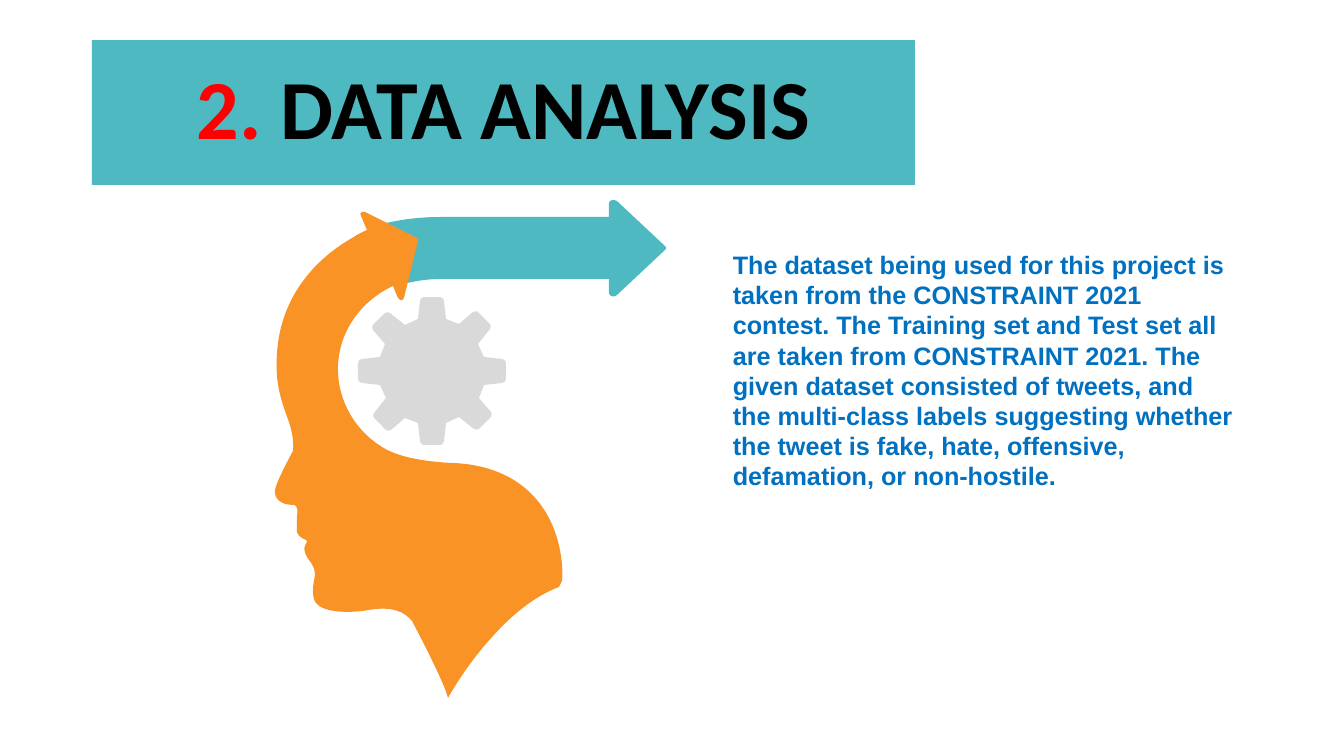
from lxml import etree
from pptx import Presentation
from pptx.dml.color import RGBColor
from pptx.enum.text import MSO_ANCHOR, MSO_AUTO_SIZE, PP_ALIGN
from pptx.oxml.ns import qn
from pptx.util import Pt

MIDDLE, BOTTOM = MSO_ANCHOR.MIDDLE, MSO_ANCHOR.BOTTOM
CENTER, LEFT = PP_ALIGN.CENTER, PP_ALIGN.LEFT
FIXED, GROW = MSO_AUTO_SIZE.NONE, MSO_AUTO_SIZE.SHAPE_TO_FIT_TEXT
PX = 914400 / 100.8
TEAL, ORANGE, GRAY = "4EB9C1", "F99325", "D9D9D9"


def paint(item, color):
    item.fill.solid()
    item.fill.fore_color.rgb = RGBColor.from_string(color)


def outline(start, parts, color):
    ends = [(round(p[-2] * PX), round(p[-1] * PX)) for p in [start] + parts]
    pen = slide.shapes.build_freeform(*ends[0], scale=1.0)
    pen.add_line_segments(ends[1:], close=True)
    shape = pen.convert_to_shape()
    lines = list(shape.element.iter(qn("a:lnTo")))
    for line, part in zip(lines, parts):
        if len(part) == 6:
            line.tag = qn("a:cubicBezTo")
            for spot in (0, 1):
                x, y = part[2 * spot:2 * spot + 2]
                knob = etree.Element(qn("a:pt"))
                knob.set("x", str(round(x * PX) - shape.left))
                knob.set("y", str(round(y * PX) - shape.top))
                line.insert(spot, knob)
    paint(shape, color)
    shape.line.fill.background()
    shape.shadow.inherit = False


deck = Presentation()
deck.slide_width, deck.slide_height = round(1344 * PX), round(756 * PX)
slide = deck.slides.add_slide(deck.slide_layouts[5])

arrow = [
    (617, 201), (614, 199, 609, 200, 609, 203), (609, 217), (440, 217),
    (414, 217, 390, 221, 368, 228), (403, 284),
    (415, 281, 428, 279, 440, 279), (609, 279), (609, 293),
    (609, 296, 614, 298, 617, 295), (665, 250),
    (667, 249, 667, 247, 665, 246),
]
outline((665, 246), arrow, TEAL)

title = slide.shapes.title
title.left, title.top, title.width, title.height = (
    round(n * PX) for n in (92, 40, 823, 145))
paint(title, TEAL)
frame = title.text_frame
frame.auto_size = FIXED
frame.vertical_anchor = MIDDLE
para = frame.paragraphs[0]
para.alignment = CENTER
para.line_spacing = 0.9
para.font.size, para.font.bold, para.font.name = Pt(60), True, "Calibri"
for text, color in (("2. ", "FF0000"), ("DATA ANALYSIS", "000000")):
    run = para.add_run()
    run.text = text
    paint(run.font, color)

box = slide.shapes.add_textbox(*(round(n * PX) for n in (723, 241, 524, 255)))
frame = box.text_frame
frame.word_wrap = True
frame.auto_size = GROW
frame.vertical_anchor = BOTTOM
para = frame.paragraphs[0]
para.text = (
    "The dataset being used for this project is taken from the CONSTRAINT 2021 "
    "contest. The Training set and Test set all are taken from CONSTRAINT 2021. "
    "The given dataset consisted of tweets, and the multi-class labels suggesting "
    "whether the tweet is fake, hate, offensive, defamation, or non-hostile.")
para.alignment = LEFT
para.font.size, para.font.bold, para.font.name = Pt(18), True, "Arial"
paint(para.font, "0070C0")

quarter = [
    (14, -52), (27, -47), (41, -59), (43, -60, 45, -60, 46, -59), (58, -47),
    (59, -46, 59, -44, 58, -42), (46, -27), (52, -14), (70, -12),
    (72, -12, 74, -10, 74, -8), (74, 8), (74, 10, 72, 12, 70, 12),
]
gear = []
for turn in range(4):
    for part in quarter:
        spot = []
        for x, y in zip(part[::2], part[1::2]):
            for _ in range(turn):
                x, y = -y, x
            spot += [432 + x, 371 + y]
        gear.append(tuple(spot))
outline(gear[0], gear[1:], GRAY)

head = [
    (413, 461, 393, 454, 382, 447), (356, 431, 338, 402, 338, 369),
    (338, 332, 361, 301, 393, 286), (398, 298),
    (400, 301, 403, 301, 404, 298), (418, 241),
    (419, 240, 418, 238, 417, 238), (365, 212),
    (362, 211, 359, 213, 361, 216), (367, 230),
    (363, 232, 358, 234, 354, 237), (311, 261, 280, 301, 277, 354),
    (275, 384, 281, 400, 289, 422), (295, 440, 293, 451, 293, 451),
    (286, 464, 274, 487, 275, 492), (275, 492, 274, 505, 294, 505),
    (294, 505, 299, 505, 297, 516), (297, 532),
    (297, 532, 298, 537, 306, 540), (306, 540, 308, 541, 306, 544),
    (306, 544, 301, 549, 309, 560), (312, 564, 317, 570, 314, 581),
    (314, 581, 310, 600, 318, 605), (318, 605, 327, 615, 363, 611),
    (375, 609, 398, 604, 412, 621), (412, 621, 445, 683, 448, 698),
    (448, 698, 466, 665, 494, 635), (512, 615, 535, 596, 559, 587),
    (560, 585, 561, 583, 562, 581), (563, 571, 562, 561, 560, 550),
    (551, 504, 518, 465, 451, 463),
]
outline((451, 463), head, ORANGE)

deck.save("out.pptx")
